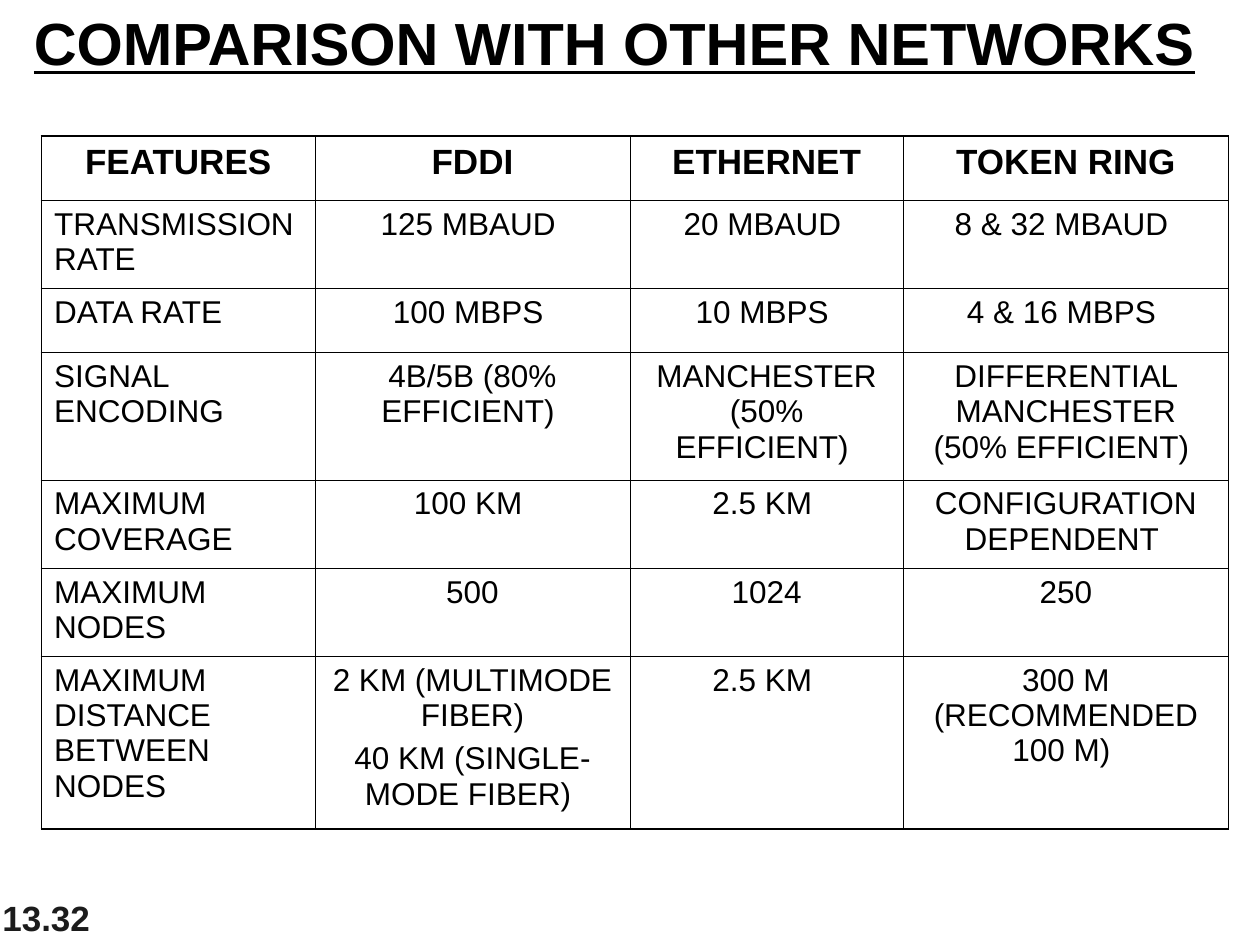
from lxml import etree
from pptx import Presentation
from pptx.dml.color import RGBColor
from pptx.enum.text import MSO_ANCHOR, PP_ALIGN
from pptx.oxml.ns import qn
from pptx.util import Inches, Pt

LEFT, MID = PP_ALIGN.LEFT, PP_ALIGN.CENTER
TOP, BOTTOM = MSO_ANCHOR.TOP, MSO_ANCHOR.BOTTOM
BLACK = RGBColor(0, 0, 0)
GRAY = RGBColor(0x1C, 0x1C, 0x1C)
FONT = "Arial"
THIN, THICK = 0.45, 1.08

COLS = [2.17, 2.5, 2.17, 2.58]
ROWS = [0.51, 0.7, 0.51, 1.01, 0.7, 0.7, 1.37]
DATA = [
    ["FEATURES", "FDDI", "ETHERNET", "TOKEN RING"],
    ["TRANSMISSION RATE", "125 MBAUD ", "20 MBAUD ", "8 & 32 MBAUD "],
    ["DATA RATE", "100 MBPS ", "10 MBPS ", "4 & 16 MBPS "],
    ["SIGNAL ENCODING", "4B/5B (80% EFFICIENT) ",
     "MANCHESTER (50% EFFICIENT) ",
     "DIFFERENTIAL MANCHESTER (50% EFFICIENT) "],
    ["MAXIMUM COVERAGE", "100 KM ", "2.5 KM ", "CONFIGURATION DEPENDENT "],
    ["MAXIMUM NODES", "500", "1024", "250"],
    ["MAXIMUM DISTANCE BETWEEN NODES",
     "2 KM (MULTIMODE FIBER)\n40 KM (SINGLE-MODE FIBER) ",
     "2.5 KM ", "300 M (RECOMMENDED 100 M) "],
]


def write(frame, text, size=18, color=BLACK, bold=False, line=False,
          align=LEFT, before=0):
    """Fill a text frame, one paragraph per line of text."""
    frame.text = text
    for para in frame.paragraphs:
        para.alignment = align
        para.space_before = Pt(before)
        for run in para.runs:
            font = run.font
            font.name, font.size = FONT, Pt(size)
            font.bold, font.underline = bold, line
            font.color.rgb = color


def add_text(slide, text, x, y, w, h, anchor=TOP, **style):
    box = slide.shapes.add_textbox(Inches(x), Inches(y), Inches(w), Inches(h))
    box.text_frame.word_wrap = True
    box.text_frame.vertical_anchor = anchor
    write(box.text_frame, text, **style)


def edge(cell, widths):
    """Draw the left, right, top and bottom borders of a cell."""
    props = cell._tc.get_or_add_tcPr()
    for i, (side, width) in enumerate(zip("LRTB", widths)):
        ln = etree.Element(qn(f"a:ln{side}"), w=str(Pt(width)))
        fill = etree.SubElement(ln, qn("a:solidFill"))
        etree.SubElement(fill, qn("a:srgbClr"), val=str(BLACK))
        props.insert(i, ln)


def add_grid(slide, x, y):
    rows, cols = len(ROWS), len(COLS)
    table = slide.shapes.add_table(
        rows, cols, Inches(x), Inches(y),
        Inches(sum(COLS)), Inches(sum(ROWS))).table
    table.first_row = table.horz_banding = False
    for col, width in zip(table.columns, COLS):
        col.width = Inches(width)
    for row, height in zip(table.rows, ROWS):
        row.height = Inches(height)

    for r, line in enumerate(DATA):
        head = r == 0
        for c, text in enumerate(line):
            cell = table.cell(r, c)
            cell.fill.background()
            write(cell.text_frame, text, size=20 if head else 18, bold=head,
                  align=MID if head or c else LEFT, before=5 if head else 4.5)
            # The outer frame is thicker than the inner rules
            outer = (c == 0, c == cols - 1, head, r == rows - 1)
            edge(cell, [THICK if out else THIN for out in outer])


def main():
    deck = Presentation()
    deck.slide_width, deck.slide_height = Inches(10), Inches(7.5)
    slide = deck.slides.add_slide(deck.slide_layouts[6])

    # Slide number
    add_text(slide, "13.32", -0.08, 7, 2.08, 0.5, anchor=BOTTOM,
             size=20, color=GRAY, bold=True)
    # Title
    add_text(slide, "COMPARISON WITH OTHER NETWORKS", 0.17, 0, 9.83, 1.25,
             size=34, bold=True, line=True)
    # Comparison table
    add_grid(slide, 0.33, 1.08)

    deck.save("out.pptx")


if __name__ == "__main__":
    main()
